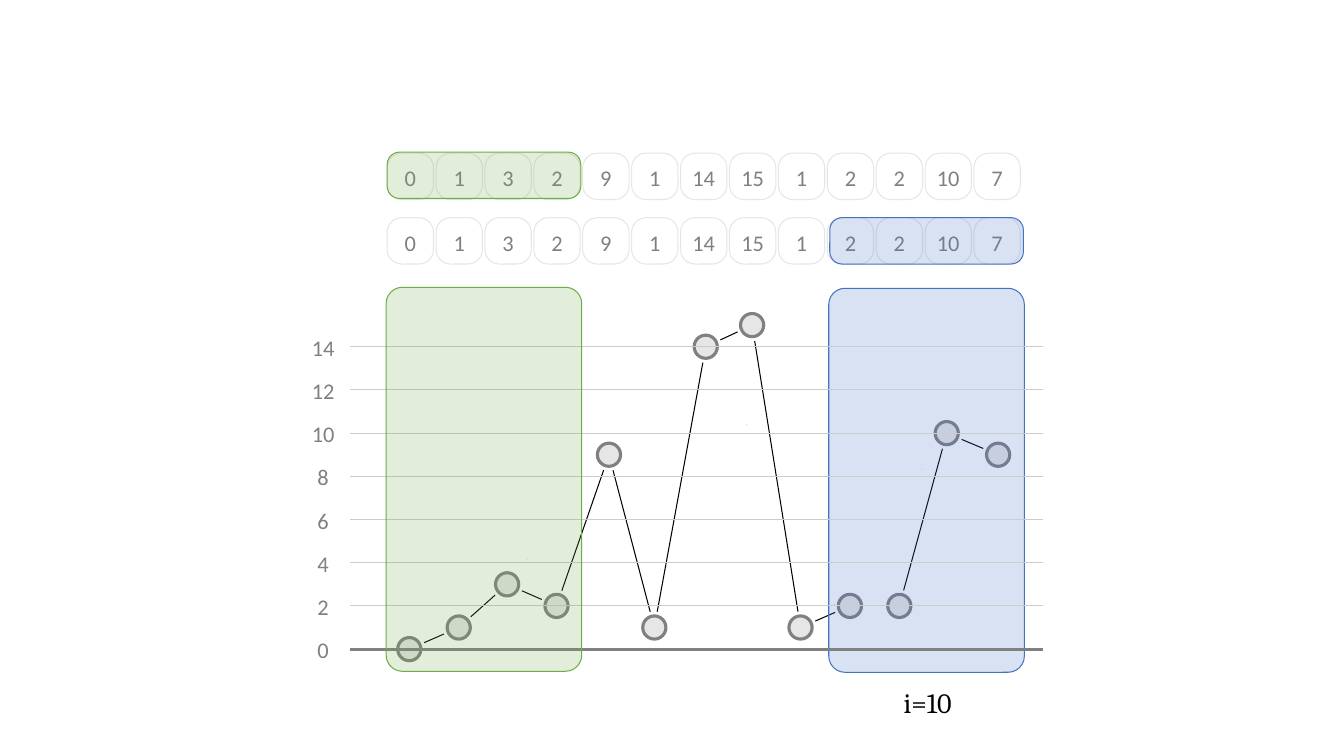
import math
from dataclasses import dataclass
from itertools import pairwise

from lxml import etree
from pptx import Presentation
from pptx.dml.color import RGBColor
from pptx.enum import shapes, text
from pptx.oxml import ns
from pptx.util import Inches, Pt


@dataclass(frozen=True)
class Theme:
    label_font: str = "Calibri"
    caption_font: str = "Cambria"
    label_size: float = 16
    caption_size: float = 20
    thin: float = 0.75
    thick: float = 2.25
    black: str = "000000"
    gray: str = "808080"
    grid: str = "CCCCCC"
    pale: str = "E7E6E6"
    speck: str = "D5D5E2"
    blue: str = "4472C4"
    green: str = "70AD47"


THEME = Theme()
SERIES = [0, 1, 3, 2, 9, 1, 14, 15, 1, 2, 2, 10, 7]
PLOTTED = SERIES[:-1] + [9]
DOT_X = [4.06, 4.55, 5.03, 5.52, 6.04, 6.49, 7.0, 7.46, 7.94, 8.43, 8.92, 9.39, 9.9]
SPECKS = [(9.14, 4.65), (8.27, 5.99), (7.4, 4.21), (6.09, 4.65), (5.22, 5.54)]
AXIS_LEFT, AXIS_RIGHT, AXIS_Y = 3.47, 10.34, 6.44
UNIT = 3 / 14
CELL_LEFT, CELL_PITCH, CELL_SIZE = 3.84, 0.485, 0.46


def value_y(value):
    return AXIS_Y - value * UNIT


def add_box(slide, kind, left, top, width, height, fill=None, line=None,
            weight=THEME.thin, corner=None, opacity=None):
    shape = slide.shapes.add_shape(
        kind, Inches(left), Inches(top), Inches(width), Inches(height))
    shape.shadow.inherit = False
    if corner is not None:
        shape.adjustments[0] = corner
    if fill:
        shape.fill.solid()
        shape.fill.fore_color.rgb = RGBColor.from_string(fill)
    else:
        shape.fill.background()
    if opacity is not None:
        color = shape.fill._xPr.find(".//" + ns.qn("a:srgbClr"))
        etree.SubElement(color, ns.qn("a:alpha"), val=str(opacity * 1000))
    if line:
        shape.line.color.rgb = RGBColor.from_string(line)
        shape.line.width = Pt(weight)
    else:
        shape.line.fill.background()
    return shape


def add_line(slide, start, end, color, weight=THEME.thin):
    connector = slide.shapes.add_connector(
        shapes.MSO_CONNECTOR.STRAIGHT, *(Inches(value) for value in (*start, *end)))
    connector.line.color.rgb = RGBColor.from_string(color)
    connector.line.width = Pt(weight)
    etree.SubElement(connector._element.spPr, ns.qn("a:effectLst"))


def write_text(shape, words, font, size, color):
    frame = shape.text_frame
    frame.text = words
    frame.vertical_anchor = text.MSO_ANCHOR.MIDDLE
    paragraph = frame.paragraphs[0]
    paragraph.alignment = text.PP_ALIGN.CENTER
    run_font = paragraph.runs[0].font
    run_font.name = font
    run_font.size = Pt(size)
    run_font.color.rgb = RGBColor.from_string(color)


def write_label(shape, value):
    shape.text_frame.word_wrap = False
    write_text(shape, str(value), THEME.label_font, THEME.label_size, THEME.gray)


def add_text_box(slide, left, top, width, height):
    return slide.shapes.add_textbox(
        Inches(left), Inches(top), Inches(width), Inches(height))


def add_series_row(slide, top):
    for index, value in enumerate(SERIES):
        cell = add_box(slide, shapes.MSO_SHAPE.ROUNDED_RECTANGLE,
                       CELL_LEFT + index * CELL_PITCH, top, CELL_SIZE, CELL_SIZE,
                       line=THEME.pale, corner=0.312)
        frame = cell.text_frame
        frame.margin_left = frame.margin_right = frame.margin_bottom = 0
        frame.margin_top = Inches(0.03)
        write_label(cell, value)


def add_segments(slide, points, gap=0.16):
    """Join neighbouring points, stopping short of each by the gap."""
    for (x1, y1), (x2, y2) in pairwise(points):
        share = gap / math.hypot(x2 - x1, y2 - y1)
        dx, dy = (x2 - x1) * share, (y2 - y1) * share
        add_line(slide, (x1 + dx, y1 + dy), (x2 - dx, y2 - dy), THEME.black)


def add_dots(slide, points, size=0.23):
    for x, y in points:
        add_box(slide, shapes.MSO_SHAPE.OVAL, x - size / 2, y - size / 2, size, size,
                fill=THEME.pale, line=THEME.gray, weight=THEME.thick)


def add_axis(slide):
    for value in range(0, 16, 2):
        y = value_y(value)
        color, weight = ((THEME.grid, THEME.thin) if value
                         else (THEME.gray, THEME.thick))
        add_line(slide, (AXIS_LEFT, y), (AXIS_RIGHT, y), color, weight)
        write_label(add_text_box(slide, 2.99, y - 0.18, 0.43, 0.37), value)


def add_window(slide, left, plot_top, row_top, color):
    """Shade four values in the plot and in their row."""
    for x, top, width, height, corner in (
            (left, plot_top, 1.94, 3.81, 0.083),
            (left + 0.01, row_top, 1.92, CELL_SIZE, 0.265)):
        add_box(slide, shapes.MSO_SHAPE.ROUNDED_RECTANGLE, x, top, width, height,
                fill=color, line=color, corner=corner, opacity=20)


def main():
    presentation = Presentation()
    presentation.slide_width = Inches(13.33)
    presentation.slide_height = Inches(7.5)
    slide = presentation.slides.add_slide(presentation.slide_layouts[6])
    points = [(x, value_y(value)) for x, value in zip(DOT_X, PLOTTED)]

    for left, top in SPECKS:
        add_box(slide, shapes.MSO_SHAPE.RECTANGLE, left, top, 0.01, 0.01,
                fill=THEME.speck)
    add_segments(slide, points)
    add_series_row(slide, 2.16)
    add_dots(slide, points)
    add_window(slide, 8.22, 2.86, 2.16, THEME.blue)
    add_axis(slide)
    add_series_row(slide, 1.52)
    add_window(slide, 3.83, 2.85, 1.51, THEME.green)

    caption = add_text_box(slide, 8.52, 6.75, 1.36, 0.44)
    caption.text_frame.word_wrap = True
    write_text(caption, "i=10", THEME.caption_font, THEME.caption_size, THEME.black)
    presentation.save("out.pptx")


if __name__ == "__main__":
    main()
